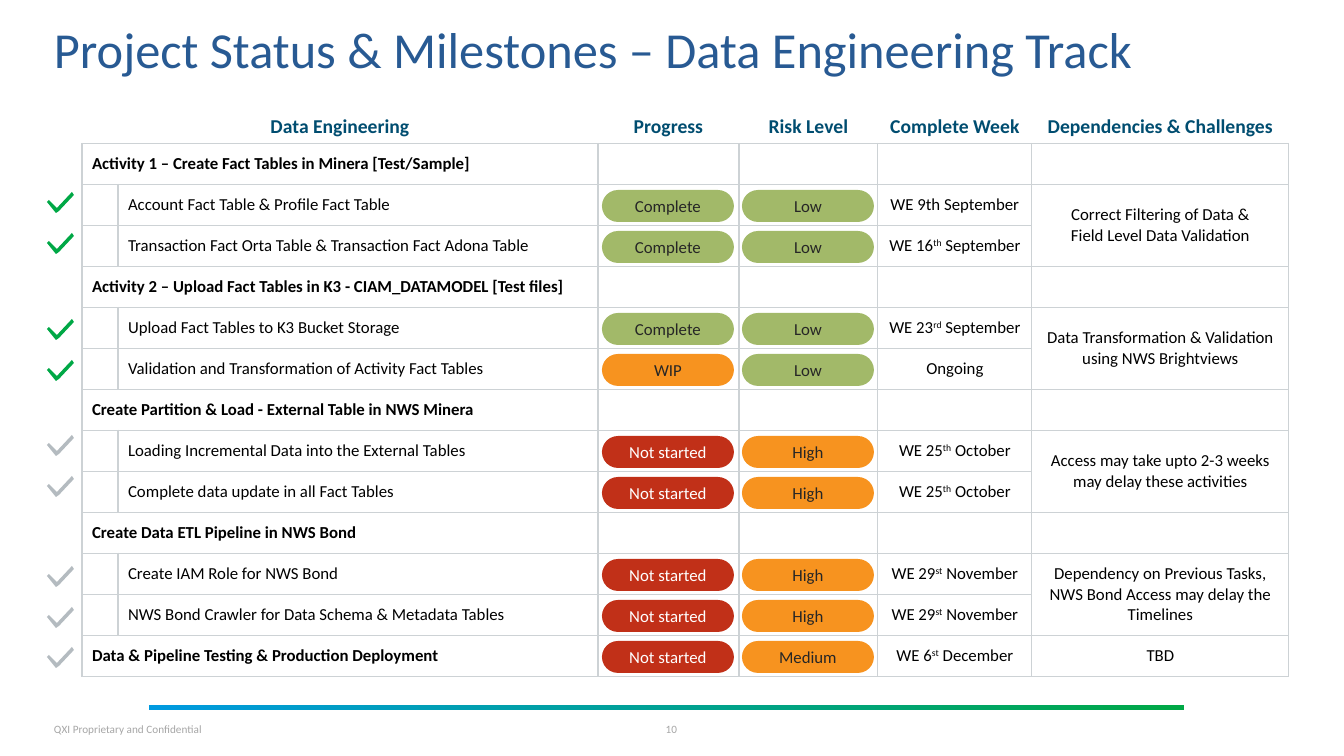
from collections import namedtuple
from lxml.etree import SubElement
from pptx import Presentation
from pptx.dml.color import RGBColor
from pptx.enum.shapes import MSO_SHAPE
from pptx.enum.text import MSO_ANCHOR, PP_ALIGN
from pptx.oxml.ns import qn
from pptx.util import Pt

PX = 914400 / 100.8
Box = namedtuple("Box", "left top width height")
Row = namedtuple("Row", "name heading progress risk week dependency check_drop",
                 defaults=(False, "", "", "", "", 0))

HEADERS = ["Data Engineering", "", "Progress", "Risk Level", "Complete Week",
           "Dependencies & Challenges"]
ROWS = [
    Row("Activity 1 – Create Fact Tables in Minera [Test/Sample]", True),
    Row("Account Fact Table & Profile Fact Table", False, "Complete", "Low",
        "WE 9th September", "Correct Filtering of Data &\nField Level Data Validation", 8),
    Row("Transaction Fact Orta Table & Transaction Fact Adona Table", False,
        "Complete", "Low", "WE 16|th| September", "", 8),
    Row("Activity 2 – Upload Fact Tables in K3 - CIAM_DATAMODEL [Test files]", True),
    Row("Upload Fact Tables to K3 Bucket Storage", False, "Complete", "Low",
        "WE 23|rd| September", "Data Transformation & Validation using NWS Brightviews", 12),
    Row("Validation and Transformation of Activity Fact Tables", False,
        "WIP", "Low", "Ongoing", "", 12),
    Row("Create Partition & Load - External Table in NWS Minera", True),
    Row("Loading Incremental Data into the External Tables", False, "Not started", "High",
        "WE 25|th| October", "Access may take upto 2-3 weeks may delay these activities", 5),
    Row("Complete data update in all Fact Tables", False,
        "Not started", "High", "WE 25|th| October", "", 5),
    Row("Create Data ETL Pipeline in NWS Bond", True),
    Row("Create IAM Role for NWS Bond", False, "Not started", "High", "WE 29|st| November",
        "Dependency on Previous Tasks, NWS Bond Access may delay the Timelines", 13),
    Row("NWS Bond Crawler for Data Schema & Metadata Tables", False,
        "Not started", "High", "WE 29|st| November", "", 13),
    Row("Data & Pipeline Testing & Production Deployment", True, "Not started", "Medium",
        "WE 6|st| December", "TBD", 12),
]
COLUMNS = [36, 480, 141, 139, 154, 257]
HEADER_HEIGHT = 45
ROW_HEIGHT = 41
PILL_WIDTH, PILL_HEIGHT = 132, 32
PILL_COLORS = {"Complete": "A2B969", "Low": "A2B969", "WIP": "F7931F", "High": "F7931F",
               "Medium": "F7931F", "Not started": "C13018"}
CHECK_POINTS = [(25, 0), (10, 16), (2, 8), (0, 10), (9, 21), (12, 19), (27, 3)]


def px(length):
    return round(length * PX)


def color(value):
    return RGBColor.from_string(value)


def format_text(frame, size, text_color, align=PP_ALIGN.LEFT, bold=False):
    for paragraph in frame.paragraphs:
        paragraph.alignment = align
        for run in paragraph.runs:
            run.font.name = "Calibri"
            run.font.size = Pt(size)
            run.font.bold = bold
            run.font.color.rgb = color(text_color)


def add_label(slide, box, text, size, text_color, align=PP_ALIGN.LEFT, inset_top=0):
    label = slide.shapes.add_textbox(*map(px, box))
    frame = label.text_frame
    frame.word_wrap = True
    frame.vertical_anchor = MSO_ANCHOR.MIDDLE
    frame.margin_left = frame.margin_right = frame.margin_bottom = 0
    frame.margin_top = px(inset_top)
    frame.text = text
    format_text(frame, size, text_color, align)
    return frame


def draw_title(slide, box):
    title = add_label(slide, box, "Project Status & Milestones – Data Engineering Track",
                      36, "285A93", inset_top=20)
    title.paragraphs[0].line_spacing = 0.8


def draw_footer(slide, box):
    bar = slide.shapes.add_shape(MSO_SHAPE.RECTANGLE, px(box.left + 95), px(box.top),
                                 px(1035), px(5))
    bar.shadow.inherit = False
    bar.line.fill.background()
    bar.fill.gradient()
    bar.fill.gradient_angle = 0
    for stop, stop_color in zip(bar.fill.gradient_stops, ["009AE0", "00A846"]):
        stop.color.rgb = color(stop_color)
    text_top = box.top + 13
    add_label(slide, Box(box.left, text_top, 162, 23), "QXI Proprietary and Confidential",
              8, "A6A6A6")
    add_label(slide, Box(box.left + 599, text_top, 37, 23), "10", 8, "A6A6A6",
              PP_ALIGN.CENTER)


def style_cell(cell, visible_edges):
    properties = cell._tc.get_or_add_tcPr()
    for edge in "LRTB":
        border = SubElement(properties, qn(f"a:ln{edge}"), w=str(Pt(1)))
        if edge in visible_edges:
            fill = SubElement(border, qn("a:solidFill"))
            SubElement(fill, qn("a:srgbClr"), val="CDD2D5")
        else:
            SubElement(border, qn("a:noFill"))
    cell.fill.solid()
    cell.fill.fore_color.rgb = color("FFFFFF")
    cell.vertical_anchor = MSO_ANCHOR.MIDDLE


def fill_header(table):
    for column, header in enumerate(HEADERS):
        cell = table.cell(0, column)
        style_cell(cell, "B")
        cell.vertical_anchor = MSO_ANCHOR.BOTTOM
        cell.text_frame.text = header
        format_text(cell.text_frame, 14, "004D70", PP_ALIGN.CENTER, True)
    first = table.cell(0, 0)
    first.vertical_anchor = MSO_ANCHOR.TOP
    first.text_frame.paragraphs[0].line_spacing = 1.5
    first.merge(table.cell(0, 1))


def fill_week(cell, week):
    cell.margin_left = cell.margin_right = 0
    paragraph = cell.text_frame.paragraphs[0]
    for position, part in enumerate(week.split("|")):
        run = paragraph.add_run()
        run.text = part
        if position % 2:
            run._r.get_or_add_rPr().set("baseline", "30000")
    format_text(cell.text_frame, 12, "000000", PP_ALIGN.CENTER)


def fill_row(table, index, row):
    for column in range(len(COLUMNS)):
        style_cell(table.cell(index, column), "LRTB")
    name = table.cell(index, 0 if row.heading else 1)
    name.text_frame.text = row.name
    format_text(name.text_frame, 12, "000000", bold=row.heading)
    if row.heading:
        name.merge(table.cell(index, 1))
    if row.week:
        fill_week(table.cell(index, 4), row.week)
    if row.dependency:
        dependency = table.cell(index, 5)
        dependency.text_frame.text = row.dependency
        format_text(dependency.text_frame, 12, "000000", PP_ALIGN.CENTER)


def draw_table(slide, box):
    frame = slide.shapes.add_table(len(ROWS) + 1, len(COLUMNS), *map(px, box))
    table = frame.table
    table.first_row = table.horz_banding = False
    for column, width in zip(table.columns, COLUMNS):
        column.width = px(width)
    for index, row in enumerate(table.rows):
        row.height = px(ROW_HEIGHT if index else HEADER_HEIGHT)
    fill_header(table)
    for index, row in enumerate(ROWS, 1):
        fill_row(table, index, row)
    for index, row in enumerate(ROWS, 1):
        if row.dependency and not row.heading:
            table.cell(index, 5).merge(table.cell(index + 1, 5))


def draw_pill(slide, left, top, status):
    pill = slide.shapes.add_shape(MSO_SHAPE.ROUNDED_RECTANGLE, px(left), px(top),
                                  px(PILL_WIDTH), px(PILL_HEIGHT))
    pill.adjustments[0] = 0.5
    pill.shadow.inherit = False
    pill.fill.solid()
    pill.fill.fore_color.rgb = color(PILL_COLORS[status])
    pill.line.fill.background()
    pill.text_frame.text = status
    pill.text_frame.vertical_anchor = MSO_ANCHOR.MIDDLE
    format_text(pill.text_frame, 12, "FFFFFF" if status == "Not started" else "262626",
                PP_ALIGN.CENTER)


def draw_check(slide, left, top, check_color):
    points = [(left + x, top + y) for x, y in CHECK_POINTS]
    builder = slide.shapes.build_freeform(*points[0], scale=PX)
    builder.add_line_segments(points[1:])
    check = builder.convert_to_shape()
    check.shadow.inherit = False
    check.fill.solid()
    check.fill.fore_color.rgb = color(check_color)
    check.line.fill.background()


def draw_statuses(slide, box):
    progress_left = box.left + sum(COLUMNS[:2]) + 4
    risk_left = box.left + sum(COLUMNS[:3]) + 3
    for index, row in enumerate(ROWS):
        if row.progress:
            top = box.top + HEADER_HEIGHT + index * ROW_HEIGHT
            draw_pill(slide, progress_left, top + 6, row.progress)
            draw_pill(slide, risk_left, top + 6, row.risk)
            pending = row.progress == "Not started"
            draw_check(slide, box.left - 35, top + row.check_drop,
                       "B4BBC0" if pending else "00A846")


def main():
    presentation = Presentation()
    presentation.slide_width, presentation.slide_height = px(1344), px(756)
    slide = presentation.slides.add_slide(presentation.slide_layouts[6])
    milestones = Box(82, 98, sum(COLUMNS), HEADER_HEIGHT + ROW_HEIGHT * len(ROWS))
    draw_footer(slide, Box(54, 705, 1235, 36))
    draw_title(slide, Box(54, 18, 1235, 51))
    draw_table(slide, milestones)
    draw_statuses(slide, milestones)
    presentation.save("out.pptx")


if __name__ == "__main__":
    main()
